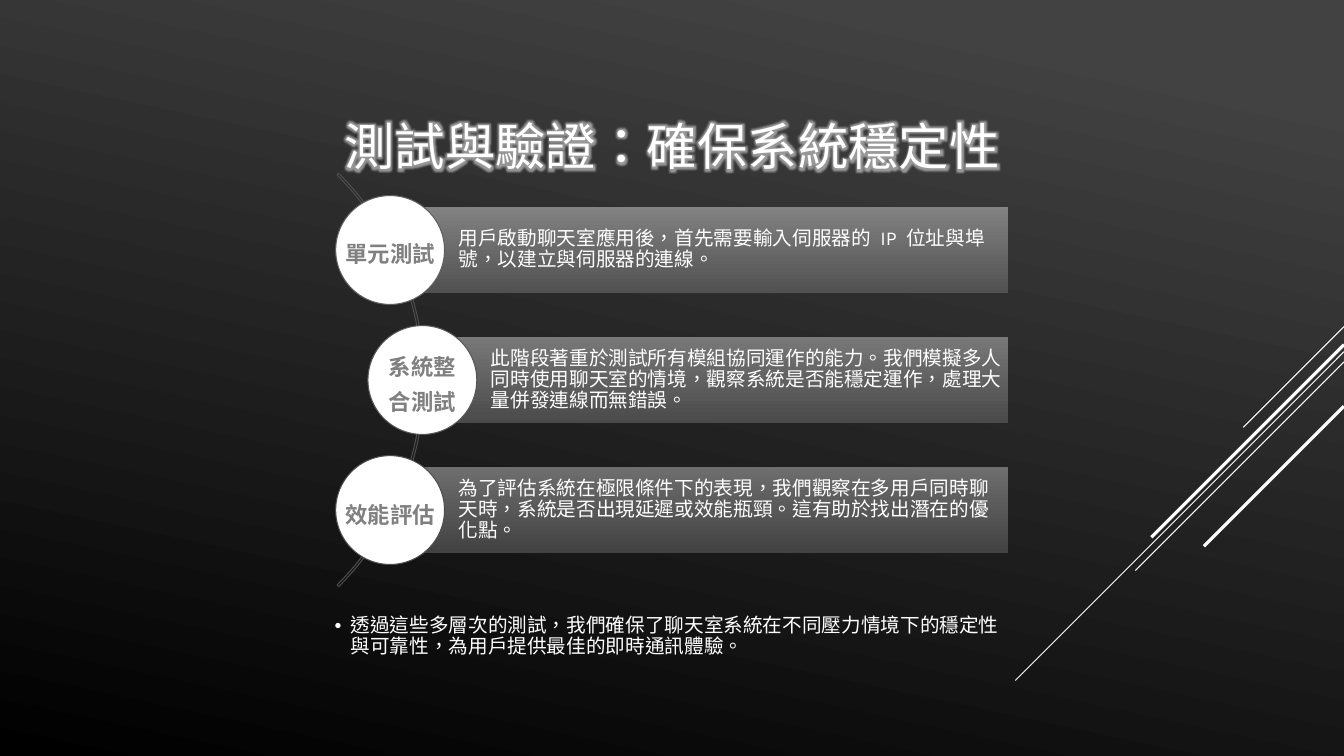
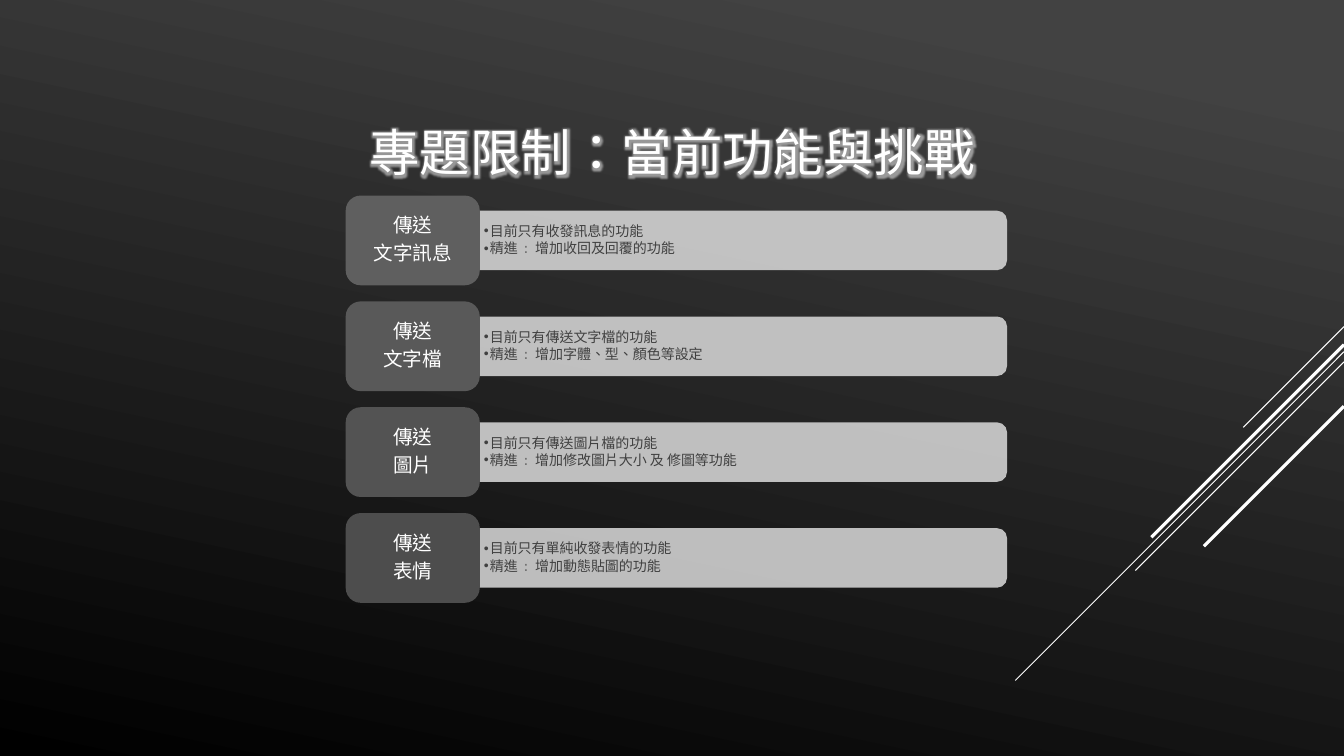
from dataclasses import dataclass

from lxml import etree
from pptx import Presentation
from pptx.dml.color import RGBColor
from pptx.enum.lang import MSO_LANGUAGE_ID
from pptx.enum.shapes import MSO_CONNECTOR, MSO_SHAPE
from pptx.enum.text import MSO_ANCHOR, MSO_AUTO_SIZE, PP_ALIGN
from pptx.oxml.ns import qn
from pptx.util import Inches, Pt


@dataclass(frozen=True)
class Theme:
    width: float = 13.333
    height: float = 7.5
    white: str = "FFFFFF"
    back_top: str = "424242"
    back_bottom: str = "000000"
    label: str = "808080"
    detail: str = "404040"
    arc: str = "4D4D4D"
    body_font: str = "Karla"
    label_font: str = "Arial Narrow"
    tile_font: str = "TeX Gyre Adventor"
    title_size: int = 36
    label_size: int = 16
    body_size: int = 14
    detail_size: int = 10
    thin: float = 0.75
    thick: float = 2.25


T = Theme()

# Where each diagonal meets the right edge, how far it runs, line width
DIAGONALS = [
    (3.24, 1.0, T.thin),
    (3.49, 3.26, T.thin),
    (3.59, 2.07, T.thin),
    (3.42, 1.91, T.thick),
    (4.03, 1.39, T.thick),
]

# Circle label lines, description, circle centre x, band gradient, outline
TESTS = [
    (["單元測試"],
     "用戶啟動聊天室應用後，首先需要輸入伺服器的 IP 位址與埠號，以建立與伺服器的連線。",
     3.87, ("828282", "515151"), "5F5F5F"),
    (["系統整", "合測試"],
     "此階段著重於測試所有模組協同運作的能力。我們模擬多人同時使用聊天室的情境，"
     "觀察系統是否能穩定運作，處理大量併發連線而無錯誤。",
     4.19, ("787878", "4A4A4A"), "565656"),
    (["效能評估"],
     "為了評估系統在極限條件下的表現，我們觀察在多用戶同時聊天時，"
     "系統是否出現延遲或效能瓶頸。這有助於找出潛在的優化點。",
     3.87, ("6E6E6E", "424242"), "4D4D4D"),
]
SUMMARY = ("透過這些多層次的測試，我們確保了聊天室系統在不同壓力情境下的穩定性與可靠性，"
           "為用戶提供最佳的即時通訊體驗。")

# Tile lines, detail lines, tile colour, bar colour
LIMITS = [
    (["傳送", "文字訊息"], ["目前只有收發訊息的功能", "精進 : 增加收回及回覆的功能"],
     "5F5F5F", "D2D2D2"),
    (["傳送", "文字檔"], ["目前只有傳送文字檔的功能", "精進 : 增加字體、型、顏色等設定"],
     "595959", "D1D1D1"),
    (["傳送", "圖片"], ["目前只有傳送圖片檔的功能", "精進 : 增加修改圖片大小 及 修圖等功能"],
     "535353", "D1D1D1"),
    (["傳送", "表情"], ["目前只有單純收發表情的功能", "精進 : 增加動態貼圖的功能"],
     "4D4D4D", "D0D0D0"),
]


def rgb(color):
    return RGBColor.from_string(color)


def inches(*lengths):
    return [Inches(length) for length in lengths]


def set_gradient(fill, start, end, angle, first_stop=0.0):
    """Two-stop gradient; the angle runs clockwise from the left-to-right direction."""
    fill.gradient()
    fill.gradient_angle = 360 - angle
    for stop, color in zip(fill.gradient_stops, (start, end)):
        stop.color.rgb = rgb(color)
    fill.gradient_stops[0].position = first_stop


def write(tf, lines, size, color=T.white, font=T.body_font, bold=False,
          align=PP_ALIGN.LEFT, anchor=MSO_ANCHOR.MIDDLE, spacing=0.9, after=0,
          insets=(0.1, 0.05, 0.1, 0.05), wrap=True, bullet_indent=None):
    tf.word_wrap = wrap
    tf.auto_size = MSO_AUTO_SIZE.NONE
    tf.vertical_anchor = anchor
    tf.margin_left, tf.margin_top, tf.margin_right, tf.margin_bottom = inches(*insets)
    for i, line in enumerate(lines):
        p = tf.paragraphs[0] if i == 0 else tf.add_paragraph()
        p.alignment, p.line_spacing, p.space_after = align, spacing, Pt(after)
        p.space_before = Pt(0)
        if bullet_indent:
            add_bullet(p, bullet_indent)
        r = p.add_run()
        r.text = line
        r.font.size, r.font.bold, r.font.name = Pt(size), bold, font
        r.font.color.rgb = rgb(color)
        r.font.language_id = MSO_LANGUAGE_ID.TRADITIONAL_CHINESE


def add_bullet(p, indent):
    pPr = p._p.get_or_add_pPr()
    pPr.set("marL", str(Inches(indent)))
    pPr.set("indent", str(-Inches(indent)))
    etree.SubElement(pPr, qn("a:buFont")).set("typeface", "Arial")
    etree.SubElement(pPr, qn("a:buChar")).set("char", "•")


def add_glow(r, radius, opacity):
    effects = etree.Element(qn("a:effectLst"))
    glow = etree.SubElement(effects, qn("a:glow"), rad=str(Pt(radius)))
    color = etree.SubElement(glow, qn("a:srgbClr"), val=T.white)
    etree.SubElement(color, qn("a:alpha"), val=str(opacity * 1000))
    r.font._element.find(qn("a:solidFill")).addnext(effects)


def add_shape(slide, kind, box, fill=None, line=None):
    sp = slide.shapes.add_shape(kind, *inches(*box))
    sp.shadow.inherit = False
    if fill:
        sp.fill.solid()
        sp.fill.fore_color.rgb = rgb(fill)
    else:
        sp.fill.background()
    if line:
        sp.line.color.rgb = rgb(line)
        sp.line.width = Pt(T.thin)
    else:
        sp.line.fill.background()
    return sp


def add_text(slide, box, lines, **fmt):
    write(slide.shapes.add_textbox(*inches(*box)).text_frame, lines, **fmt)


def add_diagonal(slide, y, run, width):
    """45-degree line from the right edge down to the left."""
    line = slide.shapes.add_connector(
        MSO_CONNECTOR.STRAIGHT, *inches(T.width, y, T.width - run, y + run))
    line.line.color.rgb = rgb(T.white)
    line.line.width = Pt(width)
    etree.SubElement(line._element.spPr, qn("a:effectLst"))


def add_slide(prs, title, title_spacing):
    slide = prs.slides.add_slide(prs.slide_layouts[5])
    for diagonal in DIAGONALS:
        add_diagonal(slide, *diagonal)
    sp = slide.shapes.title
    sp.left, sp.top, sp.width, sp.height = inches(
        0.15 * T.width, 0.59, 0.7 * T.width, 0.22 * T.height)
    write(sp.text_frame, [title], T.title_size, align=PP_ALIGN.CENTER,
          spacing=Pt(title_spacing))
    add_glow(sp.text_frame.paragraphs[0].runs[0], radius=6, opacity=50)
    return slide


def add_arc(slide, center_x, center_y, diameter):
    arc = add_shape(slide, MSO_SHAPE.BLOCK_ARC,
                    (center_x - diameter / 2, center_y - diameter / 2, diameter, diameter),
                    line=T.arc)
    for i, value in enumerate((189, 27, 0.004)):
        arc.adjustments[i] = value


def add_test(slide, center_y, label, text, center_x, gradient, outline):
    band, circle, right = 0.86, 1.08, 10.0
    sp = add_shape(slide, MSO_SHAPE.RECTANGLE,
                   (center_x, center_y - band / 2, right - center_x, band))
    set_gradient(sp.fill, *gradient, angle=90)
    write(sp.text_frame, [text], T.body_size, after=5, insets=(0.68, 0.04, 0.04, 0.04))
    sp = add_shape(slide, MSO_SHAPE.OVAL,
                   (center_x - circle / 2, center_y - circle / 2, circle, circle),
                   fill=T.white, line=outline)
    write(sp.text_frame, label, T.label_size, color=T.label, font=T.label_font, bold=True,
          align=PP_ALIGN.CENTER, spacing=Pt(25), insets=(0, 0, 0, 0), wrap=False)


def add_limit(slide, top, label, details, tile_color, bar_color):
    left, tile_w, tile_h, bar_w, bar_h = 3.43, 1.33, 0.89, 5.23, 0.59
    bar_left, center_y = left + tile_w, top + tile_h / 2
    # Turned a quarter so that the rounded corners face right
    bar = add_shape(slide, MSO_SHAPE.ROUND_2_SAME_RECTANGLE,
                    (bar_left + (bar_w - bar_h) / 2, center_y - bar_w / 2, bar_h, bar_w),
                    fill=bar_color)
    bar.rotation = 90
    color = bar.fill._xPr.find(qn("a:solidFill"))[0]
    etree.SubElement(color, qn("a:alpha"), val="90000")
    add_text(slide, (bar_left, center_y - bar_h / 2, bar_w, bar_h), details,
             size=T.detail_size, color=T.detail, font=T.tile_font, after=1.5,
             insets=(0.04, 0.02, 0.04, 0.02), bullet_indent=0.06)
    tile = add_shape(slide, MSO_SHAPE.ROUNDED_RECTANGLE, (left, top, tile_w, tile_h),
                     fill=tile_color)
    write(tile.text_frame, label, T.body_size, font=T.tile_font,
          align=PP_ALIGN.CENTER, after=5)


def build_tests(prs):
    slide = add_slide(prs, "測試與驗證：確保系統穩定性", title_spacing=47)
    middle, pitch = 3.77, 1.29
    add_arc(slide, 1.31, middle, 5.8)
    for i, test in enumerate(TESTS):
        add_test(slide, middle + (i - 1) * pitch, *test)
    add_text(slide, (3.22, 6.06, 6.88, 0.91), [SUMMARY], size=T.body_size,
             anchor=MSO_ANCHOR.TOP, after=5, bullet_indent=0.16)


def build_limits(prs):
    slide = add_slide(prs, "專題限制：當前功能與挑戰", title_spacing=55.5)
    first, pitch = 1.94, 1.05
    for i, limit in enumerate(LIMITS):
        add_limit(slide, first + i * pitch, *limit)


def main():
    prs = Presentation()
    prs.slide_width, prs.slide_height = inches(T.width, T.height)
    set_gradient(prs.slide_master.background.fill, T.back_top, T.back_bottom,
                 angle=102, first_stop=0.1)
    build_tests(prs)
    build_limits(prs)
    prs.save("out.pptx")


if __name__ == "__main__":
    main()
